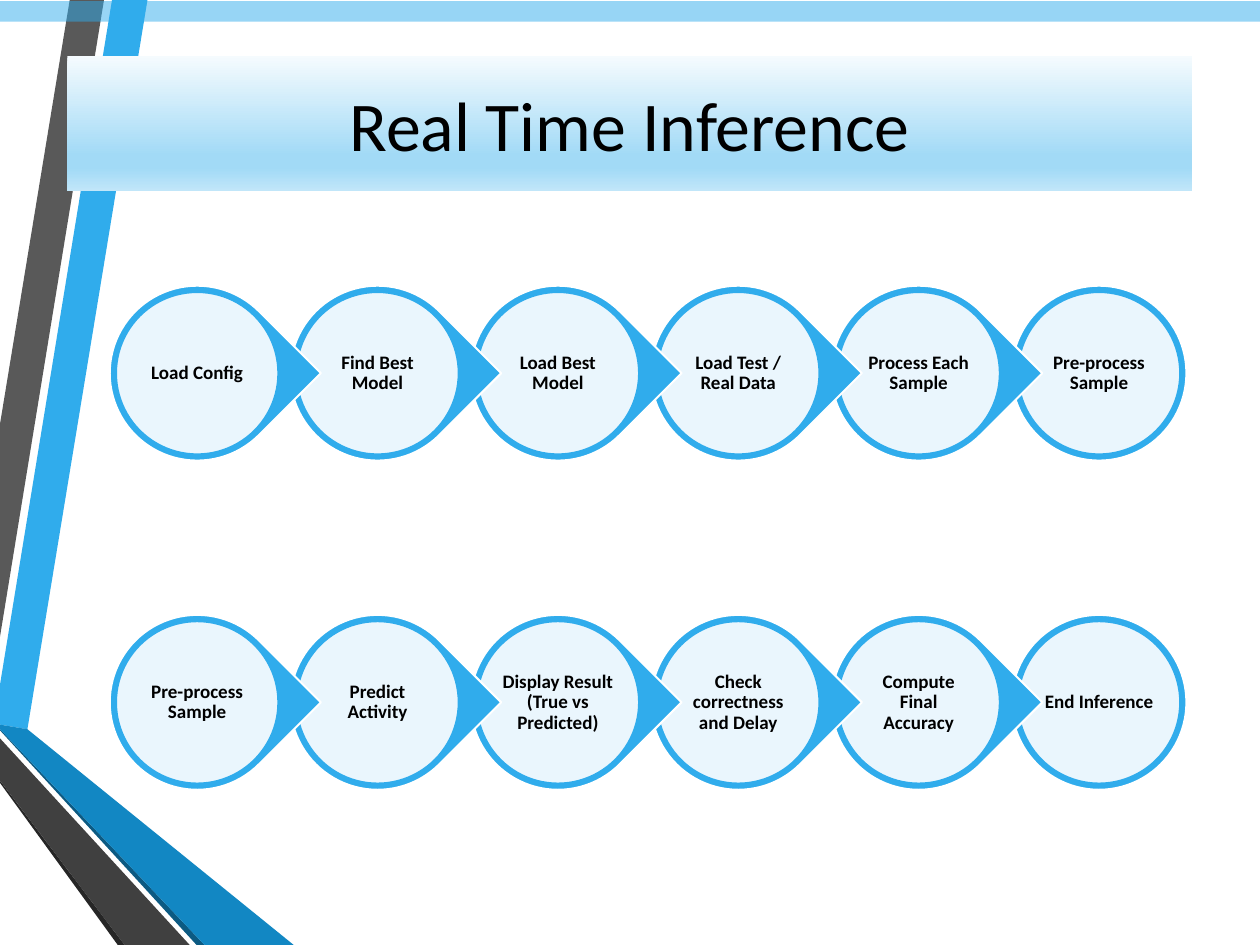
from dataclasses import dataclass

from lxml import etree
from pptx import Presentation
from pptx.dml.color import RGBColor
from pptx.enum.shapes import MSO_SHAPE
from pptx.enum.text import MSO_ANCHOR, MSO_AUTO_SIZE, PP_ALIGN
from pptx.oxml.ns import qn
from pptx.util import Inches, Pt

RECTANGLE, OVAL, TEAR = MSO_SHAPE.RECTANGLE, MSO_SHAPE.OVAL, MSO_SHAPE.TEAR
MIDDLE, CENTER, NO_AUTOFIT = MSO_ANCHOR.MIDDLE, PP_ALIGN.CENTER, MSO_AUTO_SIZE.NONE


@dataclass(frozen=True)
class Theme:
    font: str = "Calibri"
    title_size: int = 44
    step_size: int = 12
    line_width: float = 1.25
    text: str = "000000"
    paper: str = "FFFFFF"
    accent: str = "30ACEC"
    title_stops: tuple = ((0, "F5FBFE"), (74, "A2DAF6"), (83, "A2DAF6"), (100, "C1E6F9"))


@dataclass(frozen=True)
class Ribbon:
    color: str
    points: tuple


@dataclass(frozen=True)
class Row:
    top: float
    steps: tuple


THEME = Theme()
# The page is 28 by 21 centimetres
CM_PER_INCH = 2.54
PAGE_WIDTH, PAGE_HEIGHT = 28 / CM_PER_INCH, 21 / CM_PER_INCH

RIBBONS = (
    Ribbon(THEME.accent, ((0, 5.99), (0, 6.34), (0.24, 6.38), (1.29, 0), (0.98, 0))),
    Ribbon("595959", ((0.91, 0), (0.61, 0), (0, 3.71), (0, 5.57))),
    Ribbon("262626", ((0, 6.83), (0, 6.85), (1.03, PAGE_HEIGHT), (1.09, PAGE_HEIGHT))),
    Ribbon("0C5A82", ((0, 6.38), (0, 6.39), (1.72, PAGE_HEIGHT), (1.79, PAGE_HEIGHT))),
    Ribbon("1287C3", ((0, 6.38), (1.79, PAGE_HEIGHT), (2.57, PAGE_HEIGHT), (0.24, 6.38), (0, 6.34))),
    Ribbon("404040", ((0, 6.83), (1.09, PAGE_HEIGHT), (1.66, PAGE_HEIGHT), (0, 6.46))),
)

ROWS = (
    Row(2.5, ("Load Config", "Find Best Model", "Load Best Model",
              "Load Test / Real Data", "Process Each Sample", "Pre-process Sample")),
    Row(5.38, ("Pre-process Sample", "Predict Activity", "Display Result (True vs Predicted)",
               "Check correctness and Delay", "Compute Final Accuracy", "End Inference")),
)

# Step geometry: three concentric boxes at a constant pitch
FIRST_LEFT, LAST_LEFT = 0.96, 8.85
DROP, DISC, LABEL = 1.53, 1.42, 1.02


def place(box, left: float, top: float, width: float, height: float) -> None:
    box.left, box.top = Inches(left), Inches(top)
    box.width, box.height = Inches(width), Inches(height)


def paint(shape, color: str, opacity: int = 100, line: str | None = None) -> None:
    shape.shadow.inherit = False
    shape.fill.solid()
    shape.fill.fore_color.rgb = RGBColor.from_string(color)
    if opacity < 100:
        color_node = shape.element.spPr.find(qn("a:solidFill"))[0]
        etree.SubElement(color_node, qn("a:alpha")).set("val", str(opacity * 1000))
    if line:
        shape.line.color.rgb = RGBColor.from_string(line)
        shape.line.width = Pt(THEME.line_width)
    else:
        shape.line.fill.background()


def write(box, text: str, size: int, spacing: float, bold: bool = False) -> None:
    frame = box.text_frame
    frame.word_wrap = True
    frame.auto_size = NO_AUTOFIT
    frame.vertical_anchor = MIDDLE
    para = frame.paragraphs[0]
    para.text = text
    para.alignment = CENTER
    para.line_spacing = spacing
    para.font.name = THEME.font
    para.font.size = Pt(size)
    para.font.bold = bold
    para.font.color.rgb = RGBColor.from_string(THEME.text)


def add_ribbon(page, ribbon: Ribbon) -> None:
    points = [(Inches(x), Inches(y)) for x, y in ribbon.points]
    outline = page.shapes.build_freeform(*points[0])
    outline.add_line_segments(points[1:], close=True)
    paint(outline.convert_to_shape(), ribbon.color)


def add_title(page, text: str) -> None:
    title = page.shapes.title
    place(title, 0.59, 0.49, 9.84, 1.18)
    title.fill.gradient()
    title.fill.gradient_angle = 270
    stops = title.element.spPr.find(qn("a:gradFill")).find(qn("a:gsLst"))
    for stop in list(stops):
        stops.remove(stop)
    for position, color in THEME.title_stops:
        stop = etree.SubElement(stops, qn("a:gs"))
        stop.set("pos", str(position * 1000))
        etree.SubElement(stop, qn("a:srgbClr")).set("val", color)
    write(title, text, THEME.title_size, spacing=1.0)
    # Bring the title in front of the ribbons
    title.element.getparent().append(title.element)


def add_step(page, text: str, left: float, top: float, is_last: bool) -> None:
    def centred(size: float) -> tuple:
        inset = (DROP - size) / 2
        return Inches(left + inset), Inches(top + inset), Inches(size), Inches(size)

    drop = page.shapes.add_shape(OVAL if is_last else TEAR, *centred(DROP))
    if not is_last:
        drop.rotation = 45
    paint(drop, THEME.accent, line=THEME.paper)
    disc = page.shapes.add_shape(OVAL, *centred(DISC))
    paint(disc, THEME.paper, opacity=90, line=THEME.accent)
    label = page.shapes.add_textbox(*centred(LABEL))
    frame = label.text_frame
    frame.margin_left = frame.margin_right = Inches(0.02)
    frame.margin_top = frame.margin_bottom = Inches(0.02)
    write(label, text, THEME.step_size, spacing=0.9, bold=True)


def add_row(page, row: Row) -> None:
    last = len(row.steps) - 1
    pitch = (LAST_LEFT - FIRST_LEFT) / last
    # Right to left, so each point overlaps the next step
    for index in range(last, -1, -1):
        add_step(page, row.steps[index], FIRST_LEFT + index * pitch, row.top, index == last)


def main() -> None:
    deck = Presentation()
    deck.slide_width, deck.slide_height = Inches(PAGE_WIDTH), Inches(PAGE_HEIGHT)
    page = deck.slides.add_slide(deck.slide_layouts.get_by_name("Title Only"))

    # Side ribbons and top band
    for ribbon in RIBBONS:
        add_ribbon(page, ribbon)
    band = page.shapes.add_shape(RECTANGLE, 0, Inches(0.01), Inches(PAGE_WIDTH), Inches(0.18))
    paint(band, THEME.accent, opacity=50)

    # Title and process rows
    add_title(page, "Real Time Inference")
    for row in ROWS:
        add_row(page, row)
    deck.save("out.pptx")


if __name__ == "__main__":
    main()
